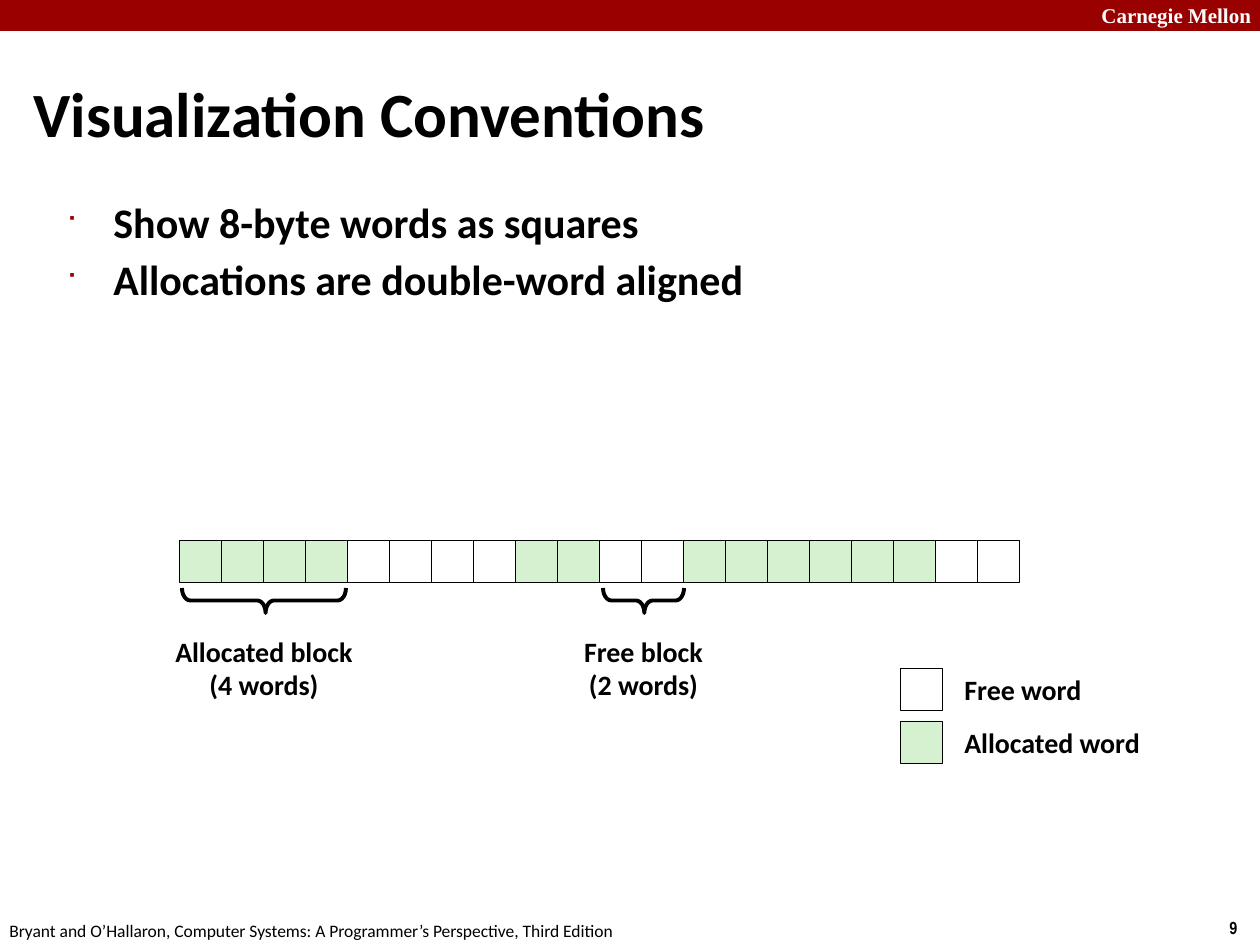
from lxml.etree import SubElement
from pptx import Presentation
from pptx.dml.color import RGBColor
from pptx.enum.shapes import MSO_SHAPE
from pptx.enum.text import MSO_ANCHOR, PP_ALIGN
from pptx.oxml.ns import qn
from pptx.util import Inches, Pt

PX = Inches(1) / 126
BLACK, WHITE, RED, GREEN = "000000", "FFFFFF", "990000", "D5F1CF"
WORD = 42
ROW_LEFT, ROW_TOP = 179, 540
ROW = "AAAAFFFFAAFFAAAAAAFF"
WORD_FILLS = {"A": GREEN, "F": WHITE}


def px(length):
    return round(length * PX)


def color(value):
    return RGBColor.from_string(value)


class SlideBuilder:
    """Draws styled elements on one slide, with lengths in px."""

    def __init__(self, slide, font="Calibri"):
        self.slide = slide
        self.font = font

    def shape(self, kind, left, top, width, height, fill=None, line=None, weight=0.25):
        shape = self.slide.shapes.add_shape(kind, px(left), px(top), px(width), px(height))
        shape.shadow.inherit = False
        if fill:
            shape.fill.solid()
            shape.fill.fore_color.rgb = color(fill)
        else:
            shape.fill.background()
        if line:
            shape.line.color.rgb = color(line)
            shape.line.width = Pt(weight)
        else:
            shape.line.fill.background()
        return shape

    def word(self, left, top, fill):
        return self.shape(MSO_SHAPE.RECTANGLE, left, top, WORD, WORD, fill, BLACK)

    def brace(self, left, top, length, depth=25):
        shape = self.shape(MSO_SHAPE.LEFT_BRACE, left + (length - depth) / 2,
                           top + (depth - length) / 2, depth, length, None, BLACK, 2.25)
        shape.rotation = 270
        shape.adjustments[0] = 0.33
        shape.adjustments[1] = 0.51
        return shape

    def text(self, lines, left, top, width, height, size, bold=True, ink=BLACK, font=None,
             align=PP_ALIGN.LEFT, anchor=MSO_ANCHOR.TOP, wrap=False, spacing=None, bullet=False):
        box = self.slide.shapes.add_textbox(px(left), px(top), px(width), px(height))
        frame = box.text_frame
        frame.word_wrap = wrap
        frame.vertical_anchor = anchor
        frame.text = "\n".join(lines)
        for index, paragraph in enumerate(frame.paragraphs):
            paragraph.alignment = align
            if spacing:
                paragraph.line_spacing = spacing
            if bullet:
                if index:
                    paragraph.space_before = Pt(4)
                self.bullet(paragraph)
            paragraph.font.name = font or self.font
            paragraph.font.size = Pt(size)
            paragraph.font.bold = bold
            paragraph.font.color.rgb = color(ink)
        return box

    def bullet(self, paragraph, indent=47):
        properties = paragraph._p.get_or_add_pPr()
        properties.set("marL", str(px(indent)))
        properties.set("indent", str(-px(indent)))
        SubElement(SubElement(properties, qn("a:buClr")), qn("a:srgbClr"), val=RED)
        SubElement(properties, qn("a:buSzPct"), val="60000")
        SubElement(properties, qn("a:buFont"), typeface="Wingdings")
        SubElement(properties, qn("a:buChar"), char="■")

    def label(self, lines, left, top, width, height, align=PP_ALIGN.LEFT):
        return self.text(lines, left, top, width, height, 16, align=align, spacing=0.98)


def main():
    presentation = Presentation()
    presentation.slide_width, presentation.slide_height = Inches(10), Inches(7.5)
    slide = presentation.slides.add_slide(presentation.slide_layouts[6])
    builder = SlideBuilder(slide)

    builder.shape(MSO_SHAPE.RECTANGLE, 0, 0, 1260, 31, RED)
    builder.text(["Carnegie Mellon"], 1089, -4, 180, 38, 12, ink=WHITE,
                 font="Times New Roman", wrap=True)
    builder.text(["9"], 1217, 911, 43, 34, 10, font="Arial Narrow")
    builder.text(["Bryant and O’Hallaron, Computer Systems: A Programmer’s Perspective, Third Edition"],
                 -3, 914, 640, 34, 10, bold=False)
    builder.text(["Visualization Conventions"], 21, 60, 1239, 105, 36,
                 anchor=MSO_ANCHOR.MIDDLE, wrap=True)
    builder.text(["Show 8-byte words as squares", "Allocations are double-word aligned"],
                 54, 190, 1089, 685, 24, wrap=True, bullet=True)

    for index, state in enumerate(ROW):
        builder.word(ROW_LEFT + index * WORD, ROW_TOP, WORD_FILLS[state])

    blocks = [("Allocated block", 4, 182, 164), ("Free block", 2, 603, 81)]
    for name, words, left, length in blocks:
        builder.brace(left, 588, length)
        builder.label([name, f"({words} words)"], left + length / 2 - 102, 630, 204, 79,
                      PP_ALIGN.CENTER)

    legend = [("Free word", WHITE), ("Allocated word", GREEN)]
    for index, (name, fill) in enumerate(legend):
        top = 668 + index * 53
        builder.word(900, top, fill)
        builder.label([name], 952, top, 203, 47)

    presentation.save("out.pptx")


if __name__ == "__main__":
    main()
